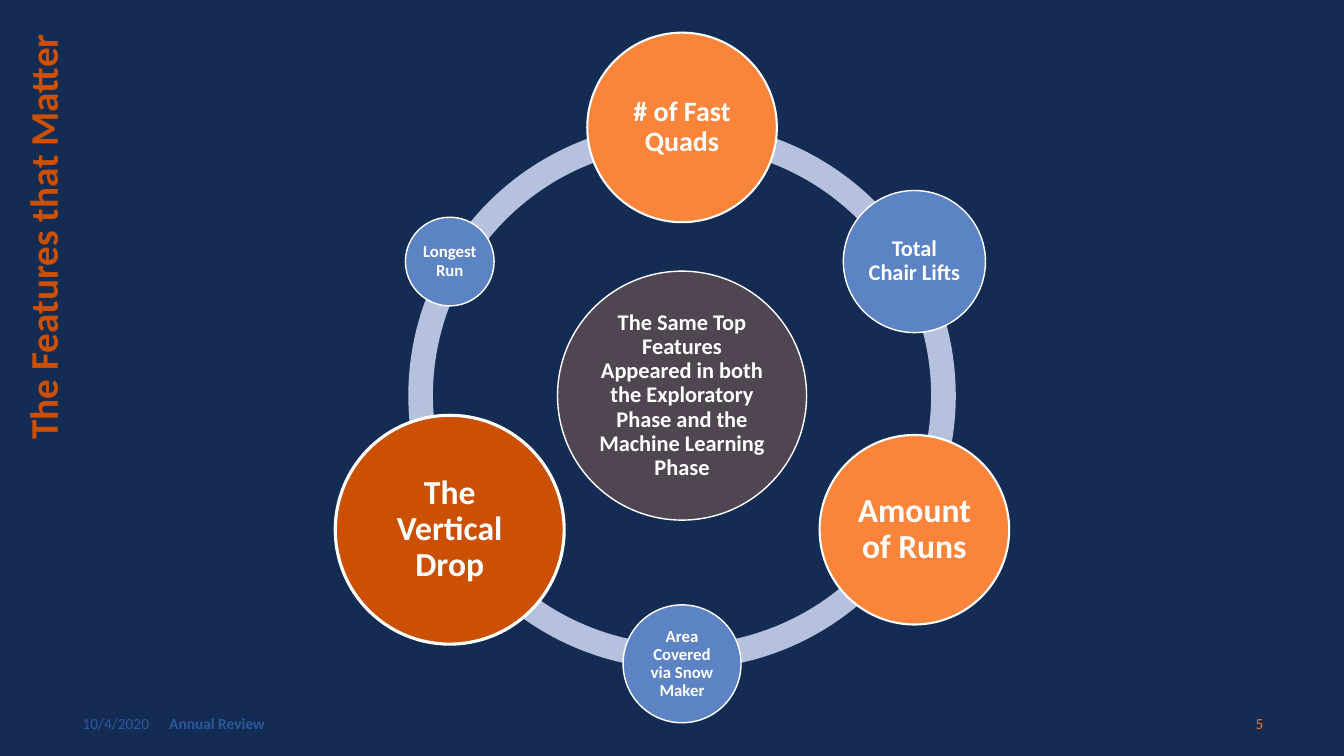
from dataclasses import dataclass
from math import cos, radians, sin

from pptx import Presentation
from pptx.dml.color import RGBColor
from pptx.enum.shapes import MSO_SHAPE as Shape
from pptx.enum.text import MSO_ANCHOR as Anchor, MSO_AUTO_SIZE as AutoSize, PP_ALIGN as Align
from pptx.util import Inches, Pt


@dataclass(frozen=True)
class Theme:
    font: str = "Calibri"
    background: str = "142C54"
    ring: str = "B6C1DE"
    hub: str = "504652"
    strongest: str = "CB5004"
    strong: str = "FB843B"
    minor: str = "5C83C4"
    white: str = "FFFFFF"
    footer: str = "2C599D"
    page: str = "FA6F1A"
    title_size: int = 28
    footer_size: int = 11
    large: int = 24
    medium: int = 20
    body: int = 16
    small: int = 12


THEME = Theme()

# Clockwise from the top: label, diameter, fill, text size, outline width
FEATURES = [
    ("# of Fast Quads", 1.88, THEME.strong, THEME.medium, 1.5),
    ("Total Chair Lifts", 1.41, THEME.minor, THEME.body, 1),
    ("Amount of Runs", 1.88, THEME.strong, THEME.large, 1.5),
    ("Area Covered via Snow Maker", 1.17, THEME.minor, THEME.small, 1),
    ("The Vertical Drop", 2.27, THEME.strongest, THEME.large, 2.25),
    ("Longest Run", 0.88, THEME.minor, THEME.small, 1),
]
HUB = ("The Same Top Features Appeared in both the Exploratory Phase "
       "and the Machine Learning Phase", 2.47, THEME.hub, THEME.body, 1)


def rgb(color):
    return RGBColor.from_string(color)


def write(frame, text, size, color, bold=False, align=Align.LEFT, anchor=Anchor.MIDDLE):
    frame.word_wrap = True
    frame.auto_size = AutoSize.NONE
    frame.vertical_anchor = anchor
    paragraph = frame.paragraphs[0]
    paragraph.alignment = align
    run = paragraph.add_run()
    run.text = text
    run.font.name = THEME.font
    run.font.size = Pt(size)
    run.font.bold = bold
    run.font.color.rgb = rgb(color)
    return paragraph


def add_round(slide, preset, center_x, center_y, diameter, fill):
    """Place a round shape by its centre."""
    round_shape = slide.shapes.add_shape(
        preset, Inches(center_x - diameter / 2), Inches(center_y - diameter / 2),
        Inches(diameter), Inches(diameter))
    round_shape.shadow.inherit = False
    round_shape.fill.solid()
    round_shape.fill.fore_color.rgb = rgb(fill)
    return round_shape


def add_bubble(slide, center_x, center_y, label, diameter, fill, size, outline):
    bubble = add_round(slide, Shape.OVAL, center_x, center_y, diameter, fill)
    bubble.line.color.rgb = rgb(THEME.white)
    bubble.line.width = Pt(outline)
    frame = bubble.text_frame
    frame.margin_left = frame.margin_right = Inches(0.02)
    frame.margin_top = frame.margin_bottom = Inches(0.02)
    paragraph = write(frame, label, size, THEME.white, True, Align.CENTER)
    paragraph.line_spacing = 0.9


def add_feature_wheel(slide, left, top, diameter):
    """Draw the ring, its hub and the features spaced evenly around it."""
    center_x, center_y = left + diameter / 2, top + diameter / 2
    thickness = 0.045
    ring = add_round(slide, Shape.DONUT, center_x, center_y, diameter, THEME.ring)
    ring.adjustments[0] = thickness
    ring.line.fill.background()
    add_bubble(slide, center_x, center_y, *HUB)

    orbit = diameter * 0.49
    step = 360 / len(FEATURES)
    for index, feature in enumerate(FEATURES):
        angle = radians(index * step - 90)
        add_bubble(slide, center_x + orbit * cos(angle),
                   center_y + orbit * sin(angle), *feature)


def add_side_title(slide, center_x, center_y, length, height):
    """Turn the title to read upwards along the left edge."""
    title = slide.shapes.title
    title.left, title.top = Inches(center_x - length / 2), Inches(center_y - height / 2)
    title.width, title.height = Inches(length), Inches(height)
    title.rotation = 270
    write(title.text_frame, "The Features that Matter", THEME.title_size,
          THEME.strongest, True, anchor=Anchor.TOP)


def add_footer(slide, left, top, width, height):
    entries = [
        ("10/4/2020", 0, 3, THEME.footer, False, Align.LEFT),
        ("Annual Review", 0.86, 4.5, THEME.footer, True, Align.LEFT),
        ("5", width - 3, 3, THEME.page, False, Align.RIGHT),
    ]
    for text, offset, entry_width, color, bold, align in entries:
        entry = slide.shapes.add_textbox(Inches(left + offset), Inches(top),
                                         Inches(entry_width), Inches(height))
        write(entry.text_frame, text, THEME.footer_size, color, bold, align)


def main():
    deck = Presentation()
    deck.slide_width, deck.slide_height = Inches(13.33), Inches(7.5)
    slide = deck.slides.add_slide(deck.slide_layouts[5])
    slide.background.fill.solid()
    slide.background.fill.fore_color.rgb = rgb(THEME.background)
    add_footer(slide, 0.72, 6.98, 11.91, 0.4)
    add_side_title(slide, 0.42, 2.23, 4.46, 0.57)
    add_feature_wheel(slide, 4.05, 1.21, 5.43)
    deck.save("out.pptx")


if __name__ == "__main__":
    main()
